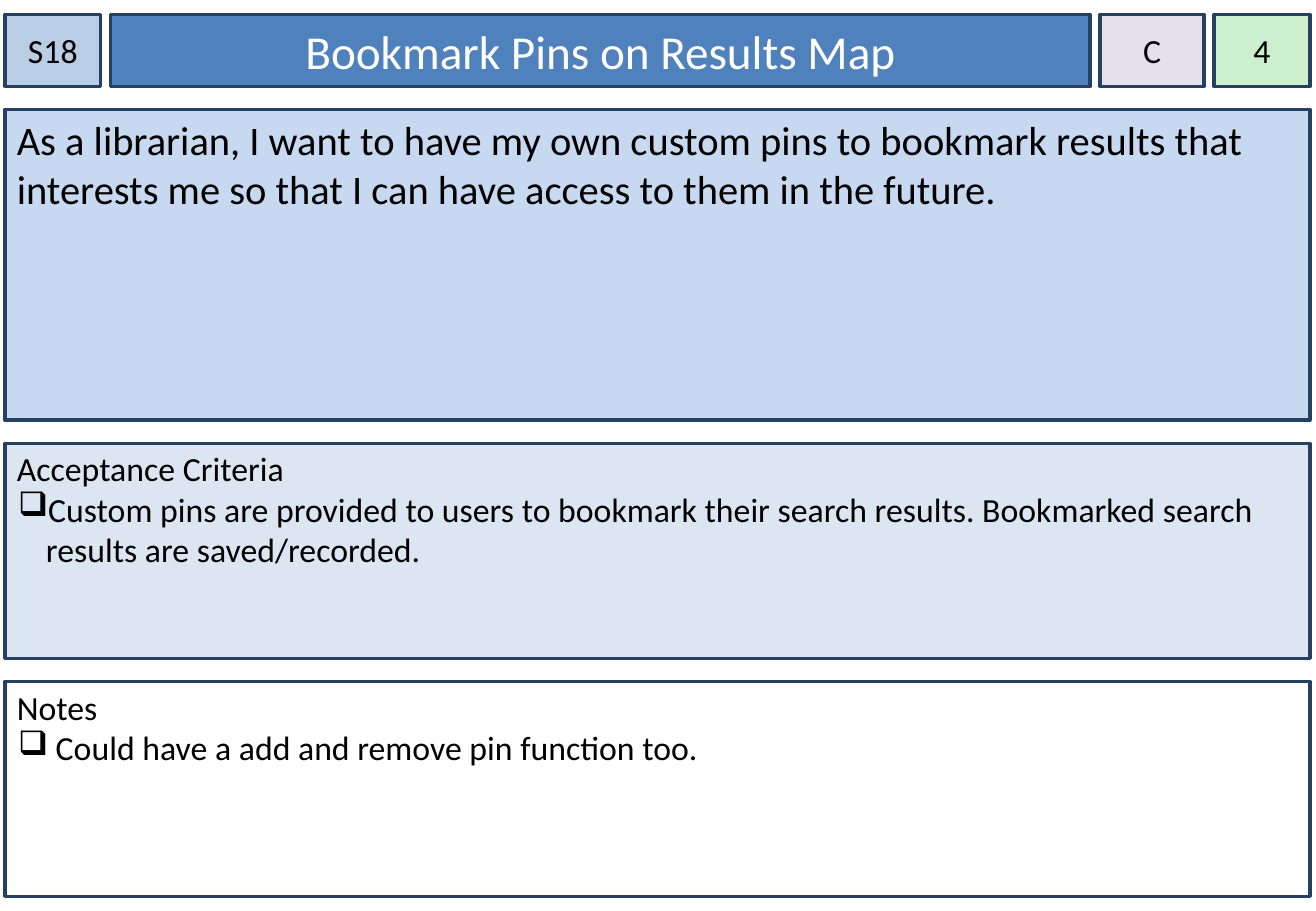
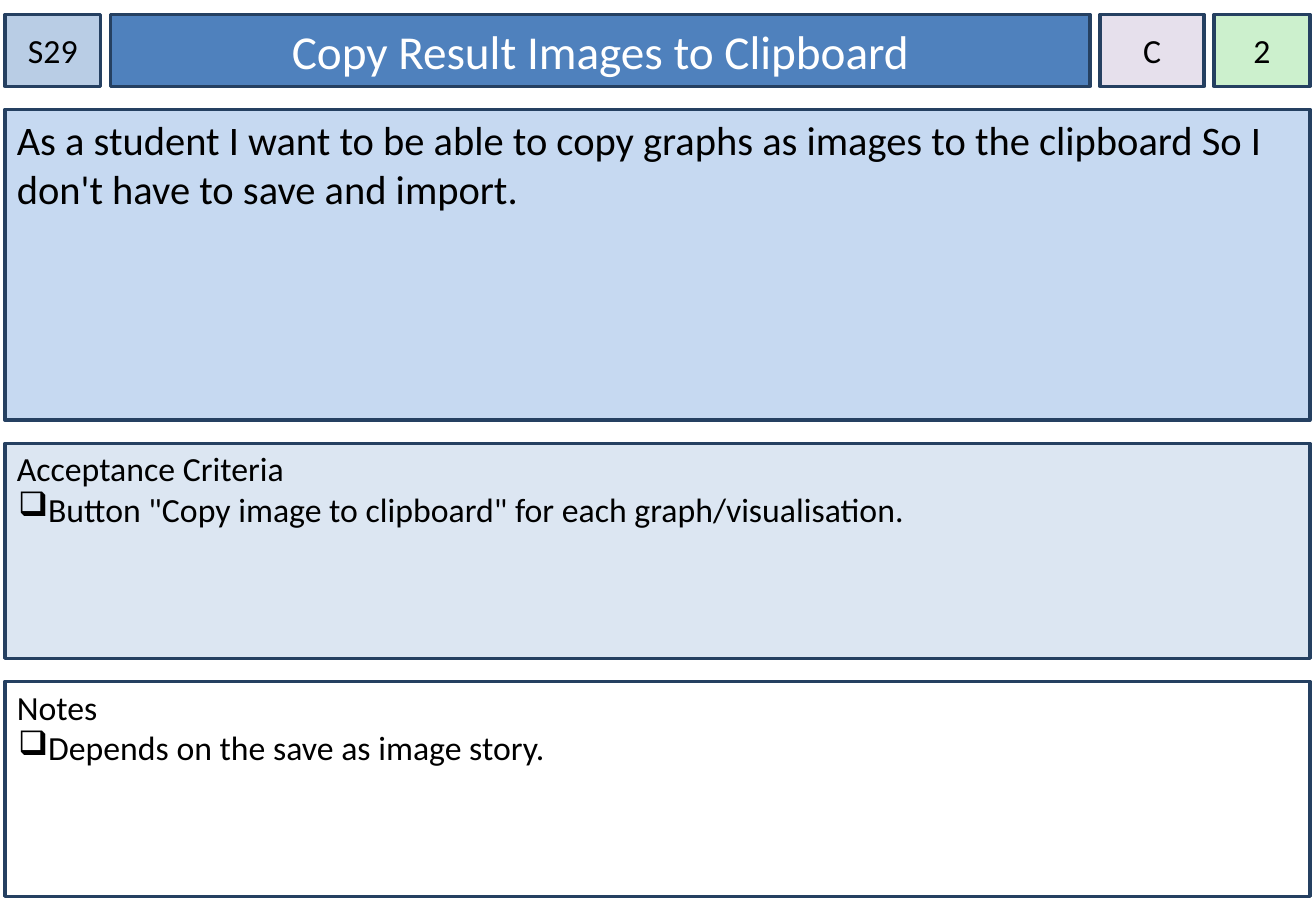
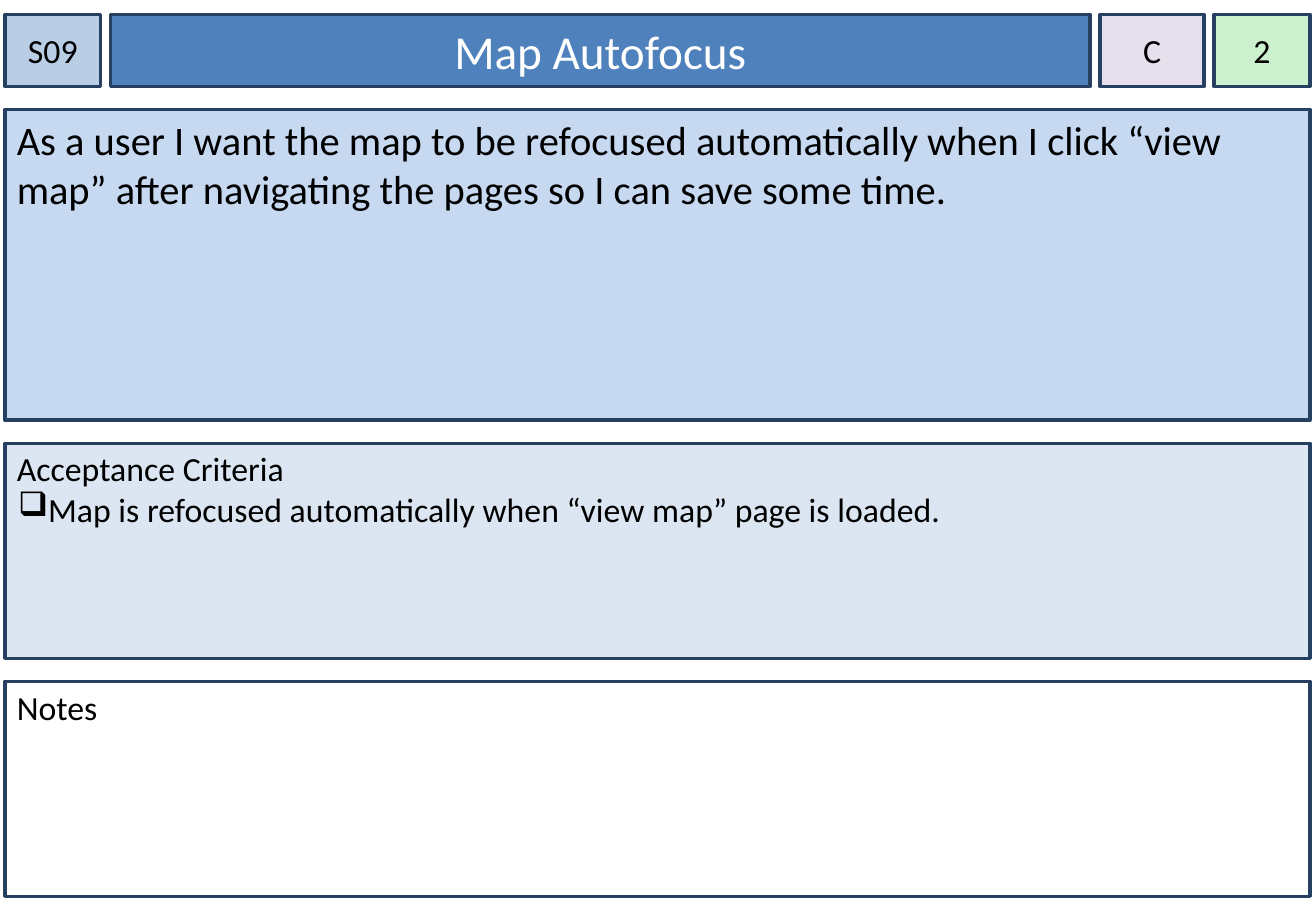
from lxml.etree import SubElement
from pptx import Presentation
from pptx.dml.color import RGBColor
from pptx.enum.shapes import MSO_SHAPE
from pptx.enum.text import MSO_ANCHOR, PP_ALIGN
from pptx.oxml.ns import qn
from pptx.util import Pt

LEFT, TOP, WIDTH = 2.88, 8.64, 774
COLUMN_GAP, ROW_GAP = 5.76, 13.68
HEADER_HEIGHT, STORY_HEIGHT, LIST_HEIGHT = 42.48, 184.32, 127.44
BADGE_WIDTH, TITLE_WIDTH, PRIORITY_WIDTH = 56.88, 581.04, 61.92

CARDS = [
    ("S18", "Bookmark Pins on Results Map", "C", "4",
     "As a librarian, I want to have my own custom pins to bookmark results that "
     "interests me so that I can have access to them in the future.",
     ["Custom pins are provided to users to bookmark their search results. "
      "Bookmarked search results are saved/recorded."],
     [" Could have a add and remove pin function too."]),
    ("S29", "Copy Result Images to Clipboard", "C", "2",
     "As a student I want to be able to copy graphs as images to the clipboard "
     "So I don't have to save and import.",
     ['Button "Copy image to clipboard" for each graph/visualisation.'],
     ["Depends on the save as image story."]),
    ("S09", "Map Autofocus", "C", "2",
     "As a user I want the map to be refocused automatically when I click “view "
     "map” after navigating the pages so I can save some time.",
     ["Map is refocused automatically when “view map” page is loaded."],
     []),
]


def rgb(value):
    """Return the colour for a hex string."""
    return RGBColor.from_string(value)


class StoryDeck:
    """Hold the card style and the current slide."""

    font = "Calibri"
    ink = "000000"
    border = "254061"

    def __init__(self):
        """Start an empty deck of card-sized slides."""
        self.prs = Presentation()
        self.prs.slide_width = Pt(780.48)
        self.prs.slide_height = Pt(540)
        self.s = None

    def new_slide(self):
        """Add a blank slide and make it current."""
        self.s = self.prs.slides.add_slide(self.prs.slide_layouts[6])

    def box(self, x, y, w, h, fill, side, top):
        """Draw a bordered box and return its text frame."""
        sp = self.s.shapes.add_shape(MSO_SHAPE.RECTANGLE, Pt(x), Pt(y), Pt(w), Pt(h))
        sp.shadow.inherit = False
        sp.fill.solid()
        sp.fill.fore_color.rgb = rgb(fill)
        sp.line.color.rgb = rgb(self.border)
        sp.line.width = Pt(2)
        tf = sp.text_frame
        tf.word_wrap = True
        tf.margin_left = tf.margin_right = Pt(side)
        tf.margin_top, tf.margin_bottom = Pt(top), Pt(3.6)
        return tf

    def set_text(self, p, text, size, color=ink, align=PP_ALIGN.LEFT):
        """Fill and format one paragraph."""
        p.text = text
        p.alignment = align
        for r in p.runs:
            r.font.name = self.font
            r.font.size = Pt(size)
            r.font.color.rgb = rgb(color)

    def header_cell(self, x, w, text, fill, size=20, color=ink, side=0):
        """Draw one centred cell of the header row."""
        tf = self.box(x, TOP, w, HEADER_HEIGHT, fill, side, 3.6)
        tf.vertical_anchor = MSO_ANCHOR.MIDDLE
        self.set_text(tf.paragraphs[0], text, size, color, PP_ALIGN.CENTER)

    def panel(self, y, h, text, fill, size=20, top=2.88):
        """Draw a full-width panel and return its text frame."""
        tf = self.box(LEFT, y, WIDTH, h, fill, 7.2, top)
        tf.vertical_anchor = MSO_ANCHOR.TOP
        self.set_text(tf.paragraphs[0], text, size)
        return tf

    def checklist(self, y, heading, items, fill):
        """Draw a panel with a heading and checkbox items."""
        tf = self.panel(y, LIST_HEIGHT, heading, fill)
        for item in items:
            p = tf.add_paragraph()
            self.set_text(p, item, 20)
            pPr = p._p.get_or_add_pPr()
            pPr.set("marL", str(Pt(17.28)))
            pPr.set("indent", str(-Pt(16.56)))
            buClr = SubElement(pPr, qn("a:buClr"))
            SubElement(buClr, qn("a:srgbClr")).set("val", self.ink)
            SubElement(pPr, qn("a:buChar")).set("char", "❑")

    def card(self, number, title, priority, points, story, criteria, notes):
        """Lay out one story card on a new slide."""
        self.new_slide()
        x = LEFT
        for w, text, fill, style in (
            (BADGE_WIDTH, number, "B9CDE5", {}),
            (TITLE_WIDTH, title, "4F81BD", {"size": 28, "color": "FFFFFF", "side": 7.2}),
            (PRIORITY_WIDTH, priority, "E6E0EC", {}),
            (BADGE_WIDTH, points, "CCF0CD", {}),
        ):
            self.header_cell(x, w, text, fill, **style)
            x += w + COLUMN_GAP
        y = TOP + HEADER_HEIGHT + ROW_GAP
        self.panel(y, STORY_HEIGHT, story, "C6D9F1", size=24, top=3.6)
        y += STORY_HEIGHT + ROW_GAP
        self.checklist(y, "Acceptance Criteria", criteria, "DCE6F2")
        y += LIST_HEIGHT + ROW_GAP
        self.checklist(y, "Notes", notes, "FFFFFF")


def main():
    """Build and save the story cards."""
    deck = StoryDeck()
    for card in CARDS:
        deck.card(*card)
    deck.prs.save("out.pptx")


if __name__ == "__main__":
    main()
